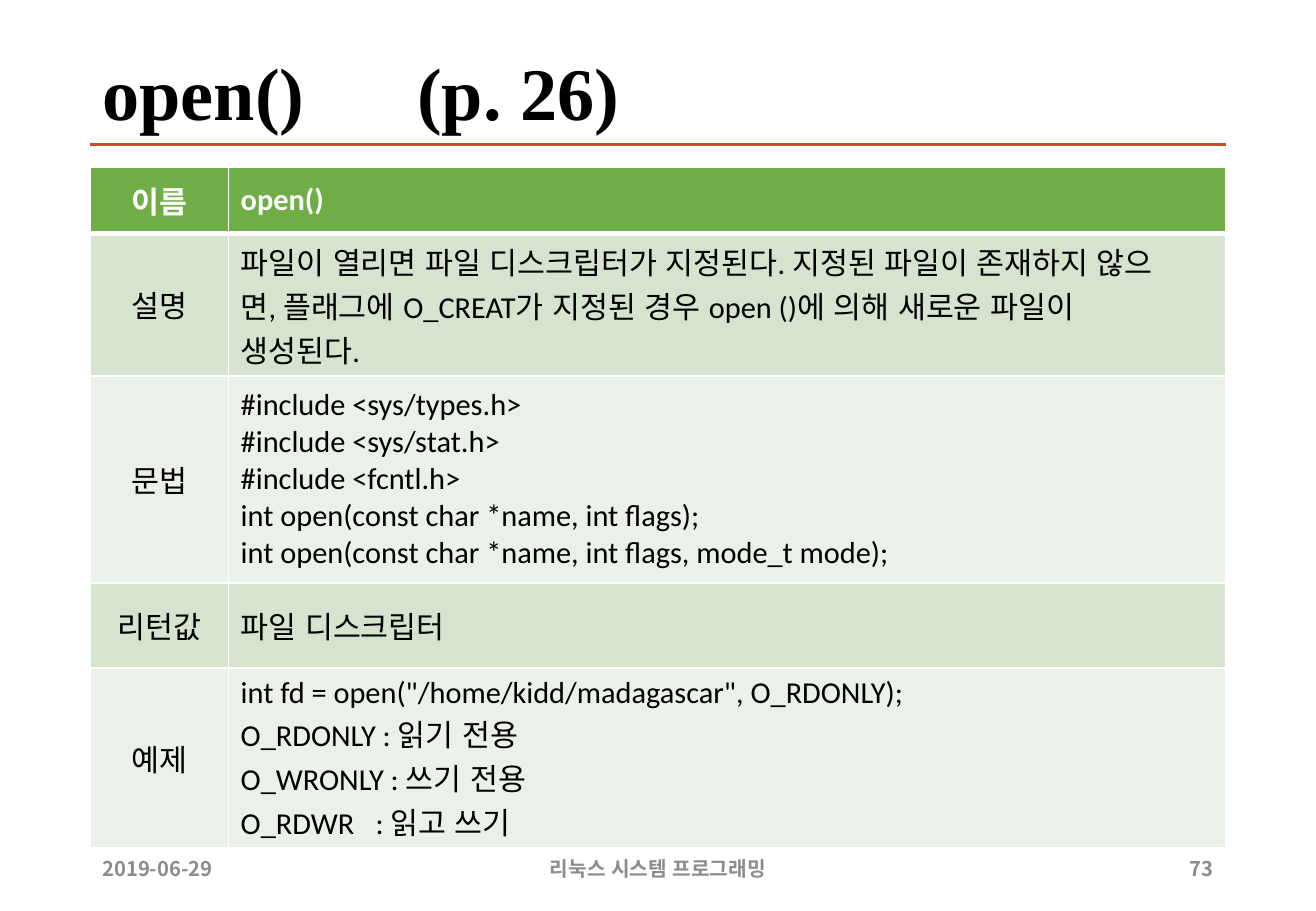
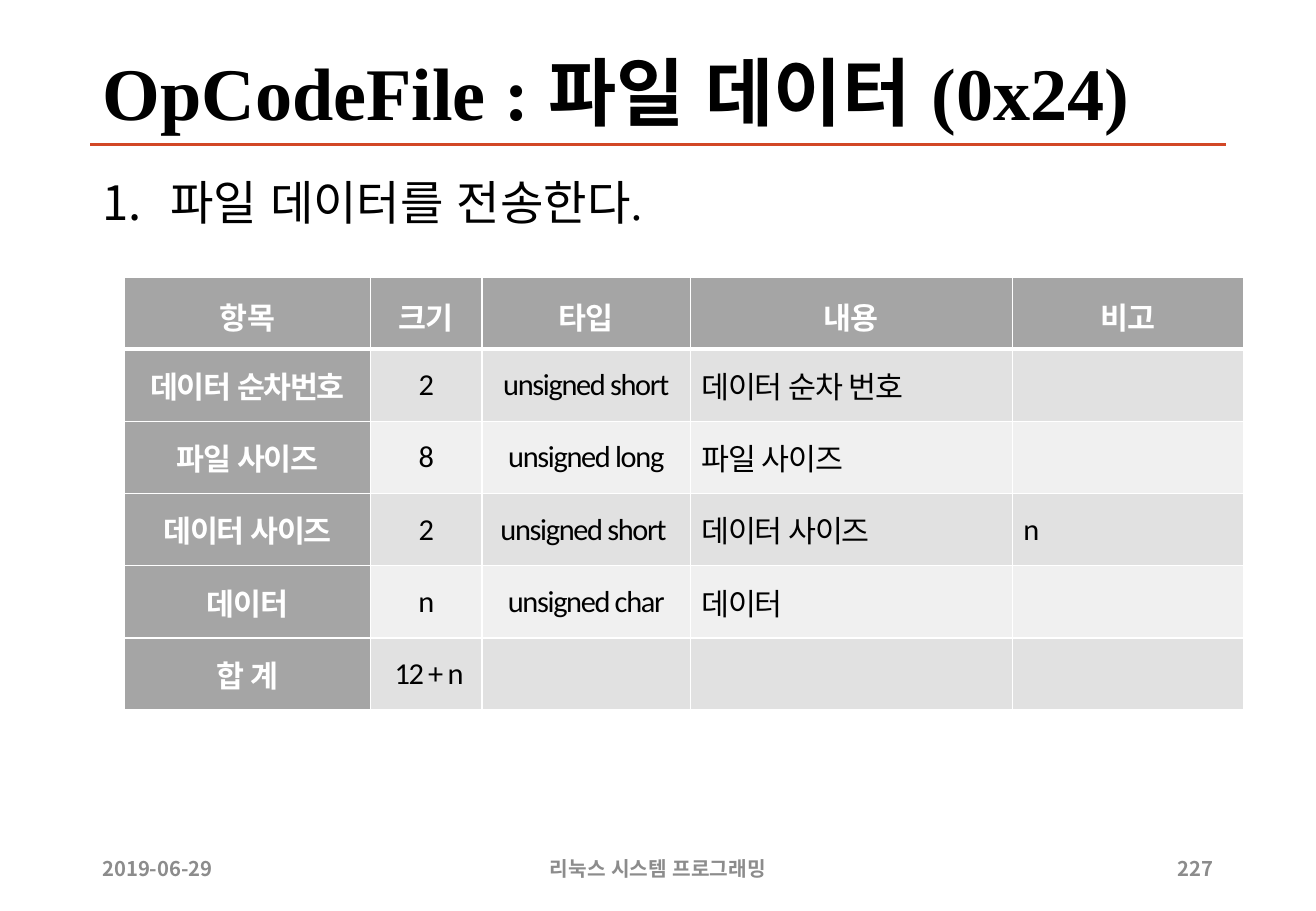
"""Build two slides on Linux system programming: open() and a file data packet."""
from dataclasses import dataclass

from lxml import etree
from pptx import Presentation
from pptx.dml.color import RGBColor
from pptx.enum.shapes import MSO_CONNECTOR
from pptx.enum.text import MSO_ANCHOR, MSO_AUTO_SIZE, PP_ALIGN
from pptx.oxml.ns import qn
from pptx.util import Cm, Pt

LEFT, CENTER, RIGHT, JUSTIFY = PP_ALIGN.LEFT, PP_ALIGN.CENTER, PP_ALIGN.RIGHT, PP_ALIGN.JUSTIFY
TOP, MIDDLE = MSO_ANCHOR.TOP, MSO_ANCHOR.MIDDLE
STRAIGHT, NO_AUTOFIT = MSO_CONNECTOR.STRAIGHT, MSO_AUTO_SIZE.NONE
TITLE_ONLY = 5
MARGIN, WIDTH = 1.89, 23.74


@dataclass(frozen=True)
class Theme:
    black: str = "000000"
    white: str = "FFFFFF"
    rule: str = "D24726"
    footer: str = "8C8C8C"
    green: tuple = ("70AD47", "D5E3CF", "EBF1E9")
    gray: tuple = ("A5A5A5", "E1E1E1", "F0F0F0")
    title_font: str = "Times New Roman"
    table_font: str = "Calibri"
    korean_font: str = "Noto Sans CJK KR"
    title_size: int = 44
    body_size: int = 28
    table_size: int = 18
    footer_size: int = 12


THEME = Theme()


def write(tf, text, *, font, size, color=THEME.black, bold=False, align=LEFT,
          line=None, spacing=0, indent=0, hanging=0, numbered=False, tab=None):
    for i, content in enumerate(text.split("\n")):
        p = tf.paragraphs[0] if i == 0 else tf.add_paragraph()
        p.alignment = align
        if line:
            p.line_spacing = line
        pPr = p._p.get_or_add_pPr()
        if indent:
            pPr.set("marL", str(Cm(indent)))
            pPr.set("indent", str(-Cm(hanging)))
        if numbered:
            etree.SubElement(pPr, qn("a:buFont"), typeface=THEME.korean_font)
            etree.SubElement(pPr, qn("a:buAutoNum"), type="arabicPeriod")
        if tab and "\t" in content:
            tabs = etree.SubElement(pPr, qn("a:tabLst"))
            etree.SubElement(tabs, qn("a:tab"), pos=str(Cm(tab)), algn="l")
        for k, part in enumerate(content.split("\v") if content else ()):
            if k:
                p.add_line_break()
            r = p.add_run()
            r.text = part
            r.font.size, r.font.bold, r.font.name = Pt(size), bold, font
            r.font.color.rgb = RGBColor.from_string(color)
            rPr = r._r.get_or_add_rPr()
            rPr.set("lang", "ko-KR")
            rPr.set("altLang", "en-US")
            if spacing:
                rPr.set("spc", str(round(spacing * 100)))
            etree.SubElement(rPr, qn("a:ea"), typeface=THEME.korean_font)


class Deck:
    def __init__(self, theme):
        self.theme = theme
        self.prs = Presentation()
        self.prs.slide_width, self.prs.slide_height = Cm(27.52), Cm(19.05)
        self.s = None

    def slide(self, title, number, tab=None):
        t = self.theme
        self.s = self.prs.slides.add_slide(self.prs.slide_layouts[TITLE_ONLY])
        self.rule(3.02)
        sp = self.s.shapes.title
        sp.left, sp.top, sp.width, sp.height = Cm(MARGIN), Cm(1.02), Cm(WIDTH), Cm(2)
        tf = sp.text_frame
        tf.auto_size, tf.vertical_anchor, tf.word_wrap = NO_AUTOFIT, MIDDLE, True
        write(tf, title, font=t.title_font, size=t.title_size, bold=True, line=0.9, tab=tab)
        footers = ((MARGIN, 3.23, "2019-06-29", LEFT),
                   (9.11, 9.3, "리눅스 시스템 프로그래밍", CENTER),
                   (24.28, 1.34, number, RIGHT))
        for left, width, text, align in footers:
            self.text(text, left, 17.65, width, 1.02, anchor=MIDDLE, align=align,
                      font=t.korean_font, size=t.footer_size, color=t.footer, bold=True)

    def rule(self, y):
        line = self.s.shapes.add_connector(STRAIGHT, Cm(MARGIN), Cm(y), Cm(MARGIN + WIDTH), Cm(y))
        line.line.color.rgb = RGBColor.from_string(self.theme.rule)
        line.line.width = Pt(2)
        etree.SubElement(line._element.spPr, qn("a:effectLst"))

    def text(self, text, left, top, width, height, anchor=TOP, **fmt):
        sp = self.s.shapes.add_textbox(Cm(left), Cm(top), Cm(width), Cm(height))
        tf = sp.text_frame
        tf.word_wrap, tf.vertical_anchor = True, anchor
        write(tf, text, **fmt)

    def borders(self, cell, **widths):
        tcPr = cell._tc.get_or_add_tcPr()
        for side in "LRTB":
            ln = etree.SubElement(tcPr, qn(f"a:ln{side}"), w=str(Pt(widths.get(side, 1))))
            fill = etree.SubElement(ln, qn("a:solidFill"))
            etree.SubElement(fill, qn("a:srgbClr"), val=self.theme.white)

    def table(self, rows, left, top, widths, heights, palette, style, inset=None):
        t = self.theme
        table = self.s.shapes.add_table(len(rows), len(widths), Cm(left), Cm(top),
                                        Cm(sum(widths)), Cm(sum(heights))).table
        table.horz_banding = False
        for column, width in zip(table.columns, widths):
            column.width = Cm(width)
        for i, (texts, height) in enumerate(zip(rows, heights)):
            table.rows[i].height = Cm(height)
            for j, text in enumerate(texts):
                cell = table.cell(i, j)
                fmt = style(i, j)
                accent = fmt.get("bold", False)
                self.borders(cell, T=3 if i == 1 else 1, B=3 if i == 0 else 1)
                cell.fill.solid()
                shade = palette[0] if accent else palette[2 - i % 2]
                cell.fill.fore_color.rgb = RGBColor.from_string(shade)
                cell.vertical_anchor = MIDDLE
                if inset is not None:
                    cell.margin_left = cell.margin_right = Cm(inset)
                    cell.margin_top = cell.margin_bottom = Cm(inset)
                write(cell.text_frame, text, font=t.table_font, size=t.table_size,
                      color=t.white if accent else t.black, **fmt)


def function_style(i, j):
    return {"bold": i == 0, "align": LEFT if j else CENTER, "tab": 2.82}


def packet_style(i, j):
    if i == 0:
        return {"bold": True, "align": CENTER, "line": 1.16, "spacing": -0.5}
    if j > 2:
        return {"align": JUSTIFY, "indent": 0.18, "spacing": -0.8}
    return {"bold": j == 0, "align": CENTER, "spacing": -0.8}


OPEN_ROWS = (
    ("이름", "open()"),
    ("설명", "파일이 열리면 파일 디스크립터가 지정된다. 지정된 파일이 존재하지 않으\v"
             "면, 플래그에 O_CREAT가 지정된 경우 open ()에 의해 새로운 파일이\v생성된다."),
    ("문법", "#include <sys/types.h>\n#include <sys/stat.h>\n#include <fcntl.h>\n"
             "int open(const char *name, int flags);\n"
             "int open(const char *name, int flags, mode_t mode);"),
    ("리턴값", "파일 디스크립터"),
    ("예제", 'int fd = open("/home/kidd/madagascar", O_RDONLY);\n'
             "O_RDONLY : 읽기 전용\nO_WRONLY : 쓰기 전용\nO_RDWR\t: 읽고 쓰기"),
)

PACKET_ROWS = (
    ("항목", "크기", "타입", "내용", "비고"),
    ("데이터 순차번호", "2", "unsigned short", "데이터 순차 번호", ""),
    ("파일 사이즈", "8", "unsigned long", "파일 사이즈", ""),
    ("데이터 사이즈", "2", "unsigned short ", "데이터 사이즈", "n"),
    ("데이터", "n", "unsigned char", "데이터", ""),
    ("합 계", " 12 + n", "", "", ""),
)


def main():
    deck = Deck(THEME)

    deck.slide("open()\t(p. 26)", "73", tab=6.58)
    deck.table(OPEN_ROWS, MARGIN, 3.49, (2.89, 20.85), (1.39, 2.98, 4.33, 1.78, 3.76),
               THEME.green, function_style)

    deck.slide("OpCodeFile : 파일 데이터 (0x24)", "227")
    deck.text("파일 데이터를 전송한다.", MARGIN, 3.49, WIDTH, 1.9, font=THEME.title_font,
              size=THEME.body_size, indent=1.42, hanging=1.42, numbered=True)
    deck.table(PACKET_ROWS, 2.6, 5.79, (5.15, 2.33, 4.36, 6.73, 4.84),
               (1.51,) * len(PACKET_ROWS), THEME.gray, packet_style, inset=0.05)

    deck.prs.save("out.pptx")


if __name__ == "__main__":
    main()
